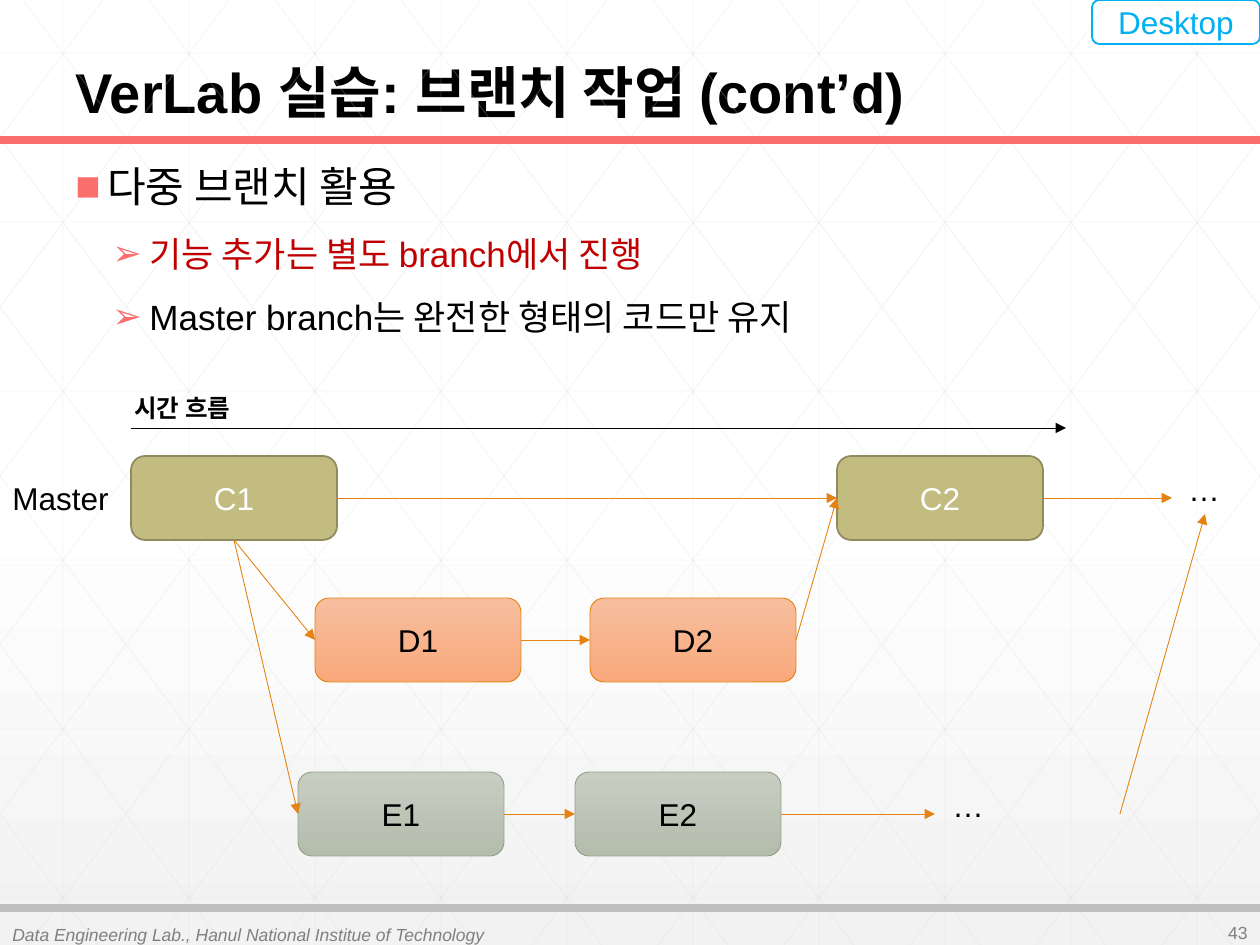
from lxml import etree
from pptx import Presentation
from pptx.dml.color import RGBColor
from pptx.enum.shapes import MSO_CONNECTOR, MSO_SHAPE
from pptx.enum.text import MSO_ANCHOR, MSO_AUTO_SIZE, PP_ALIGN
from pptx.oxml.ns import qn
from pptx.util import Pt

STRAIGHT, ROUNDED = MSO_CONNECTOR.STRAIGHT, MSO_SHAPE.ROUNDED_RECTANGLE
LEFT, CENTER, RIGHT = PP_ALIGN.LEFT, PP_ALIGN.CENTER, PP_ALIGN.RIGHT
TOP, MIDDLE, BOTTOM = MSO_ANCHOR.TOP, MSO_ANCHOR.MIDDLE, MSO_ANCHOR.BOTTOM
W, H = 1260, 945
FONT = "Arial"

BLACK, WHITE = RGBColor(0, 0, 0), RGBColor(255, 255, 255)
PALE, GRID = RGBColor(0xF2, 0xF2, 0xF2), RGBColor(0xD9, 0xD9, 0xD9)
GRAY, SILVER = RGBColor(0x80, 0x80, 0x80), RGBColor(0xBF, 0xBF, 0xBF)
CORAL, RED = RGBColor(0xFA, 0x6E, 0x6E), RGBColor(0xC0, 0, 0)
OLIVE, OLIVE_EDGE = RGBColor(0xC2, 0xBC, 0x80), RGBColor(0x90, 0x8B, 0x5F)
PEACH, PEACH_END = RGBColor(0xF7, 0xBE, 0x9E), RGBColor(0xF8, 0xA9, 0x7C)
SAGE, SAGE_END = RGBColor(0xC8, 0xCD, 0xC2), RGBColor(0xB4, 0xBC, 0xAC)
SAGE_EDGE, ORANGE = RGBColor(0x94, 0xA0, 0x88), RGBColor(0xE4, 0x83, 0x12)
SKY = RGBColor(0, 0xB0, 0xF0)

# Content
TITLE = "VerLab 실습: 브랜치 작업 (cont’d)"
# text, size, colour, bullet, left margin px, hanging px, space before, line spacing
BULLETS = [
    ("다중 브랜치 활용", 24, BLACK, "■", 32, 32, 18, 0.9),
    ("기능 추가는 별도 branch에서 진행", 20, RED, "➢", 74, 37, 12, 1.0),
    ("Master branch는 완전한 형태의 코드만 유지", 20, BLACK, "➢", 74, 37, 12, 1.0),
]
# text, box, size, colour, bold, italic, align, anchor, wrap
LABELS = [
    ("Data Engineering Lab., Hanul National Institue of Technology",
     (0, 919, 634, 30), 10, GRAY, False, True, LEFT, MIDDLE, True),
    ("43", (1166, 917, 94, 30), 10, GRAY, False, False, RIGHT, MIDDLE, True),
    ("시간 흐름", (122, 387, 130, 43), 14, BLACK, True, False, LEFT, TOP, False),
    ("Master", (0, 473, 122, 50), 18, BLACK, False, False, LEFT, TOP, False),
    ("…", (1176, 464, 57, 50), 18, BLACK, False, False, LEFT, TOP, False),
    ("…", (940, 780, 57, 50), 18, BLACK, False, False, LEFT, TOP, False),
]
# branch: fill colours, edge, edge width, text colour, top, {commit: left}
BRANCHES = [
    ([OLIVE], OLIVE_EDGE, 1, WHITE, 456, {"C1": 131, "C2": 837}),
    ([PEACH, PEACH_END], ORANGE, 0.5, BLACK, 598, {"D1": 315, "D2": 590}),
    ([SAGE, SAGE_END], SAGE_EDGE, 0.5, BLACK, 772, {"E1": 298, "E2": 575}),
]
NODE_W, NODE_H = 206, 84
L_SIDE, B_SIDE, R_SIDE = 1, 2, 3  # connection sites of a rounded rectangle
# each end is (commit, side) or a point
ARROWS = [
    (("C1", R_SIDE), ("C2", L_SIDE)), (("C2", R_SIDE), (1172, 498)),
    (("C1", B_SIDE), ("D1", L_SIDE)), (("D1", R_SIDE), ("D2", L_SIDE)),
    (("D2", R_SIDE), ("C2", L_SIDE)), (("C1", B_SIDE), ("E1", L_SIDE)),
    (("E1", R_SIDE), ("E2", L_SIDE)), (("E2", R_SIDE), (935, 814)),
    ((1120, 814), (1205, 514)),
]


def px(n):
    return round(n * 914400 / 126)


def place(sp, box):
    for name, value in zip(("left", "top", "width", "height"), box):
        setattr(sp, name, px(value))


def write(p, text, size, color, bold=False, italic=False):
    r = p.add_run()
    r.text = text
    r.font.color.rgb = color
    for name, value in {"name": FONT, "size": Pt(size), "bold": bold,
                        "italic": italic}.items():
        setattr(r.font, name, value)


def frame(sp, anchor, wrap=True):
    tf = sp.text_frame
    for name, value in {"auto_size": MSO_AUTO_SIZE.NONE, "word_wrap": wrap,
                        "vertical_anchor": anchor}.items():
        setattr(tf, name, value)
    return tf


def gradient(fill, start, end, start_at=0):
    fill.gradient()
    fill.gradient_angle = 270
    for stop, color, at in zip(fill.gradient_stops, (start, end), (start_at, 1)):
        stop.color.rgb, stop.position = color, at


def line(start, end, color, width, arrow=False, alpha=None):
    c = s.shapes.add_connector(STRAIGHT, *(px(v) for v in (*start, *end)))
    c.line.color.rgb, c.line.width = color, Pt(width)
    ln = c.line._get_or_add_ln()
    if arrow:
        etree.SubElement(ln, qn("a:tailEnd"), type="triangle")
    if alpha:
        etree.SubElement(ln.find(".//" + qn("a:srgbClr")), qn("a:alpha"),
                         val=str(alpha * 1000))
    etree.SubElement(c._element.spPr, qn("a:effectLst"))
    return c


def rounded(text, box, fills, edge, width, color):
    sp = s.shapes.add_shape(ROUNDED, *(px(v) for v in box))
    sp.shadow.inherit = False
    if len(fills) == 2:
        gradient(sp.fill, *fills)
    elif fills:
        sp.fill.solid()
        sp.fill.fore_color.rgb = fills[0]
    else:
        sp.fill.background()
    sp.line.color.rgb, sp.line.width = edge, Pt(width)
    p = frame(sp, MIDDLE).paragraphs[0]
    p.alignment = CENTER
    write(p, text, 18, color)
    return sp


prs = Presentation()
prs.slide_width, prs.slide_height = px(W), px(H)
s = prs.slides.add_slide(prs.slide_layouts[5])
gradient(s.background.fill, WHITE, PALE, 0.53)

# Background lattice: verticals, horizontals, mirrored diagonals cut at the edges
RUN = 705  # sideways reach of a full diagonal
lattice = [((x, 0), (x, H)) for x in range(63, W, 126)]
lattice += [((0, y), (W, y)) for y in range(53, H, 169)]
for x in range(23 - 5 * 126, W, 126):
    x1, x2 = max(x, 0), min(x + RUN, W)
    y1, y2 = ((v - x) * H / RUN for v in (x1, x2))
    lattice += [((x1, y1), (x2, y2)), ((W - x1, y1), (W - x2, y2))]
for start, end in lattice:
    line(start, end, GRID, 0.5, alpha=25)

# Header and footer rules
for y, color in ((140, CORAL), (908, SILVER)):
    line((0, y), (W, y), color, 5)

# Title
title = s.shapes.title
place(title, (63, 0, 1134, 132))
p = frame(title, BOTTOM).paragraphs[0]
p.alignment, p.line_spacing = LEFT, 0.9
write(p, TITLE, 32, BLACK, bold=True)

# Bulleted text
body = s.shapes.add_textbox(0, 0, 0, 0)
place(body, (63, 160, 1134, 200))
tf = frame(body, TOP)
for i, (text, size, color, mark, margin, hang, before, spacing) in enumerate(BULLETS):
    p = tf.add_paragraph() if i else tf.paragraphs[0]
    p.space_before, p.line_spacing = Pt(before), spacing
    write(p, text, size, color)
    pPr = p._p.get_or_add_pPr()
    pPr.set("marL", str(px(margin)))
    pPr.set("indent", str(-px(hang)))
    bu = etree.SubElement(pPr, qn("a:buClr"))
    etree.SubElement(bu, qn("a:srgbClr"), val=str(CORAL))
    etree.SubElement(pPr, qn("a:buFont"), typeface=FONT)
    etree.SubElement(pPr, qn("a:buChar"), char=mark)

# Labels
for text, box, size, color, bold, italic, align, anchor, wrap in LABELS:
    tb = s.shapes.add_textbox(0, 0, 0, 0)
    place(tb, box)
    p = frame(tb, anchor, wrap).paragraphs[0]
    p.alignment = align
    write(p, text, size, color, bold, italic)

# Commits
nodes = {}
for fills, edge, width, color, top, commits in BRANCHES:
    for name, left in commits.items():
        nodes[name] = rounded(name, (left, top, NODE_W, NODE_H),
                              fills, edge, width, color)

# Time axis and commit arrows
line((131, 428), (1066, 428), BLACK, 0.5, arrow=True)
for start, end in ARROWS:
    points = [(0, 0) if e[0] in nodes else e for e in (start, end)]
    c = line(*points, ORANGE, 0.5, arrow=True)
    for e, connect in ((start, c.begin_connect), (end, c.end_connect)):
        if e[0] in nodes:
            connect(nodes[e[0]], e[1])

# Platform tag
rounded("Desktop", (1092, 0, 168, 44), [], SKY, 1, SKY)

prs.save("out.pptx")
